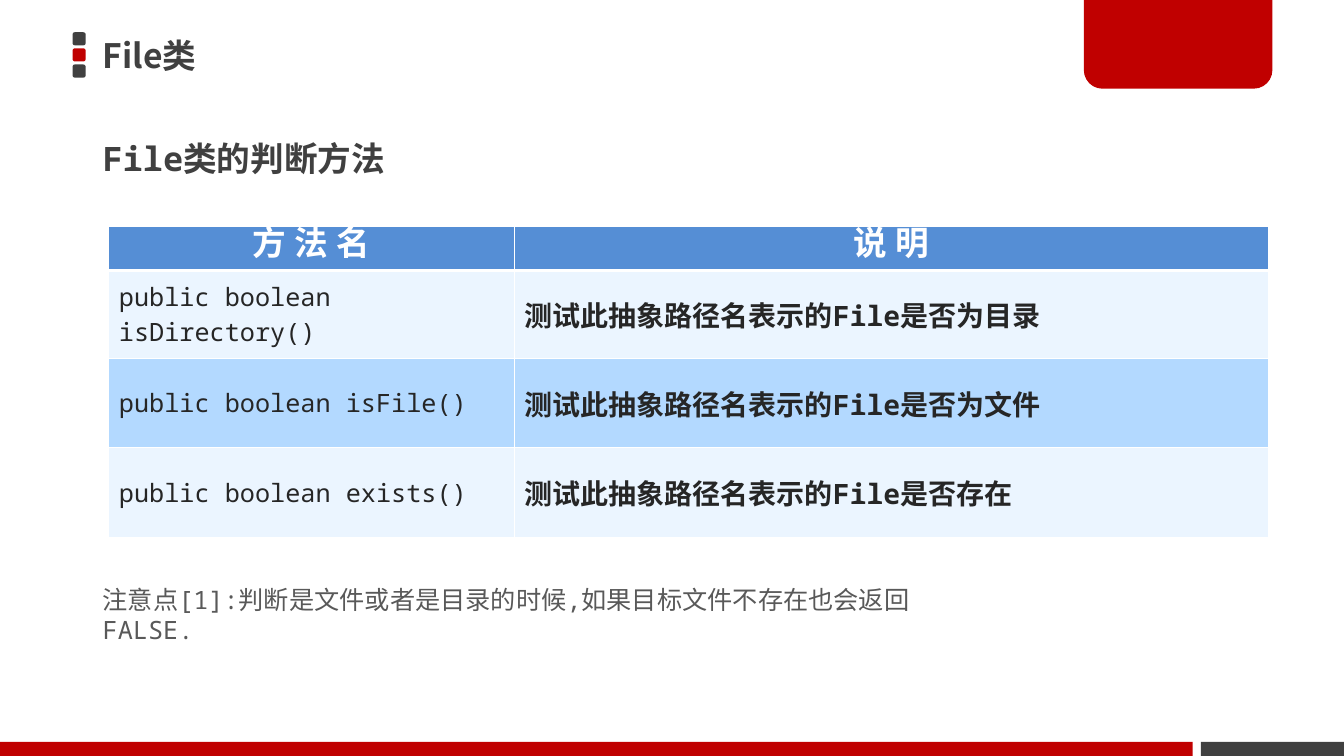
"""Build a slide on the test methods of the File class."""
import pptx
import pptx.dml.color
import pptx.enum.shapes
import pptx.enum.text
import pptx.oxml
import pptx.oxml.ns
import pptx.util

PX = 9144
SANS = "Noto Sans CJK JP"
MONO = "Noto Sans Mono"
DARK, RED, WHITE = "404040", "C00000", "FFFFFF"
SHAPE = pptx.enum.shapes.MSO_SHAPE
ALIGN = pptx.enum.text.PP_ALIGN
ANCHOR = pptx.enum.text.MSO_ANCHOR
ROWS = [
    ("public boolean isDirectory()", "测试此抽象路径名表示的File是否为目录"),
    ("public boolean isFile()", "测试此抽象路径名表示的File是否为文件"),
    ("public boolean exists()", "测试此抽象路径名表示的File是否存在"),
]


def scale(*sizes):
    return [pptx.util.Emu(size * PX) for size in sizes]


def color(code):
    return pptx.dml.color.RGBColor.from_string(code)


def write(frame, text, size=24, font=MONO, ink=DARK, bold=False,
          align=ALIGN.LEFT, lead=None, gap=0):
    para = frame.paragraphs[0]
    para.alignment = align
    if lead:
        para.line_spacing = pptx.util.Pt(lead)
    run = para.add_run()
    run.text = text
    run.font.size = pptx.util.Pt(size)
    run.font.bold = bold
    run.font.name = font
    run.font.color.rgb = color(ink)
    props = run.font._element
    props.set("spc", str(gap * 100))
    east = props.makeelement(pptx.oxml.ns.qn("a:ea"), {"typeface": SANS})
    props.find(pptx.oxml.ns.qn("a:latin")).addnext(east)


def label(slide, box, text, anchor=ANCHOR.MIDDLE, **style):
    frame = slide.shapes.add_textbox(*scale(*box)).text_frame
    frame.word_wrap = True
    frame.vertical_anchor = anchor
    write(frame, text, **style)


def block(slide, kind, box, fill, *bends):
    shape = slide.shapes.add_shape(kind, *scale(*box))
    shape.shadow.inherit = False
    shape.fill.solid()
    shape.fill.fore_color.rgb = color(fill)
    shape.line.fill.background()
    for index, bend in enumerate(bends):
        shape.adjustments[index] = bend


def border(cell, top=1, bottom=1):
    props = cell._tc.get_or_add_tcPr()
    sides = {"L": 1, "R": 1, "T": top, "B": bottom}
    for index, (side, width) in enumerate(sides.items()):
        props.insert(index, pptx.oxml.parse_xml(
            f'<a:ln{side} {pptx.oxml.ns.nsdecls("a")} w="{width * 12700}">'
            f'<a:solidFill><a:srgbClr val="{WHITE}"/></a:solidFill>'
            f'</a:ln{side}>'))


def paint(cell, fill, text, anchor, top=1, bottom=1, **style):
    cell.fill.solid()
    cell.fill.fore_color.rgb = color(fill)
    cell.vertical_anchor = anchor
    write(cell.text_frame, text, **style)
    border(cell, top, bottom)


def grid(slide):
    table = slide.shapes.add_table(4, 2, *scale(108, 225, 1150, 308)).table
    for col, width in zip(table.columns, scale(402, 748)):
        col.width = width
    for row, height in zip(table.rows, scale(43, 87, 89, 89)):
        row.height = height
    for col, text in enumerate(("方法名", "说明")):
        paint(table.cell(0, col), "558ED5", text, ANCHOR.TOP, bottom=3,
              ink=WHITE, bold=True, align=ALIGN.CENTER, lead=24, gap=6)
    for row, texts in enumerate(ROWS, 1):
        fill = "EBF5FF" if row % 2 else "B3D9FF"
        for col, text in enumerate(texts):
            paint(table.cell(row, col), fill, text, ANCHOR.MIDDLE,
                  top=3 if row == 1 else 1, ink="262626",
                  size=20 if col else 18, bold=col == 1)


def main():
    deck = pptx.Presentation()
    deck.slide_width, deck.slide_height = scale(1333, 750)
    slide = deck.slides.add_slide(deck.slide_layouts[6])
    for index, fill in enumerate((DARK, RED, DARK)):
        block(slide, SHAPE.ROUNDED_RECTANGLE,
              (72, 32 + 16 * index, 13, 13), fill, 0.17)
    block(slide, SHAPE.RECTANGLE, (1191, 736, 142, 14), DARK)
    block(slide, SHAPE.ROUND_2_SAME_RECTANGLE, (1075, 0, 187, 88), RED, 0, 0.21)
    block(slide, SHAPE.RECTANGLE, (0, 736, 1183, 14), RED)
    label(slide, (92, 26, 959, 57), "File类", font=SANS, bold=True)
    label(slide, (92, 128, 1077, 57), "File类的判断方法", bold=True)
    grid(slide)
    label(slide, (92, 575, 894, 40),
          "注意点[1]:判断是文件或者是目录的时候,如果目标文件不存在也会返回FALSE.",
          anchor=ANCHOR.TOP, size=18, ink="595959")
    deck.save("out.pptx")


if __name__ == "__main__":
    main()
